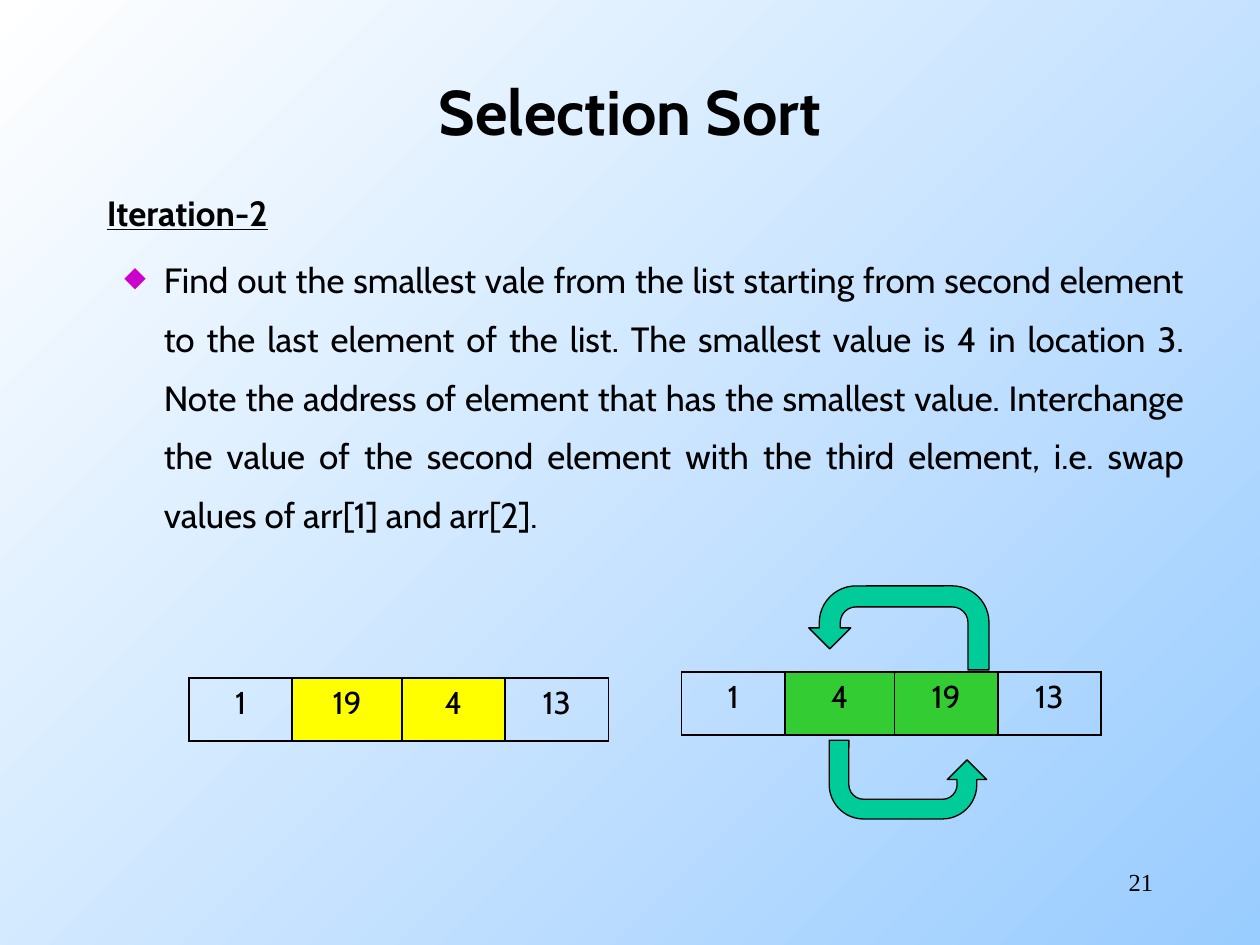
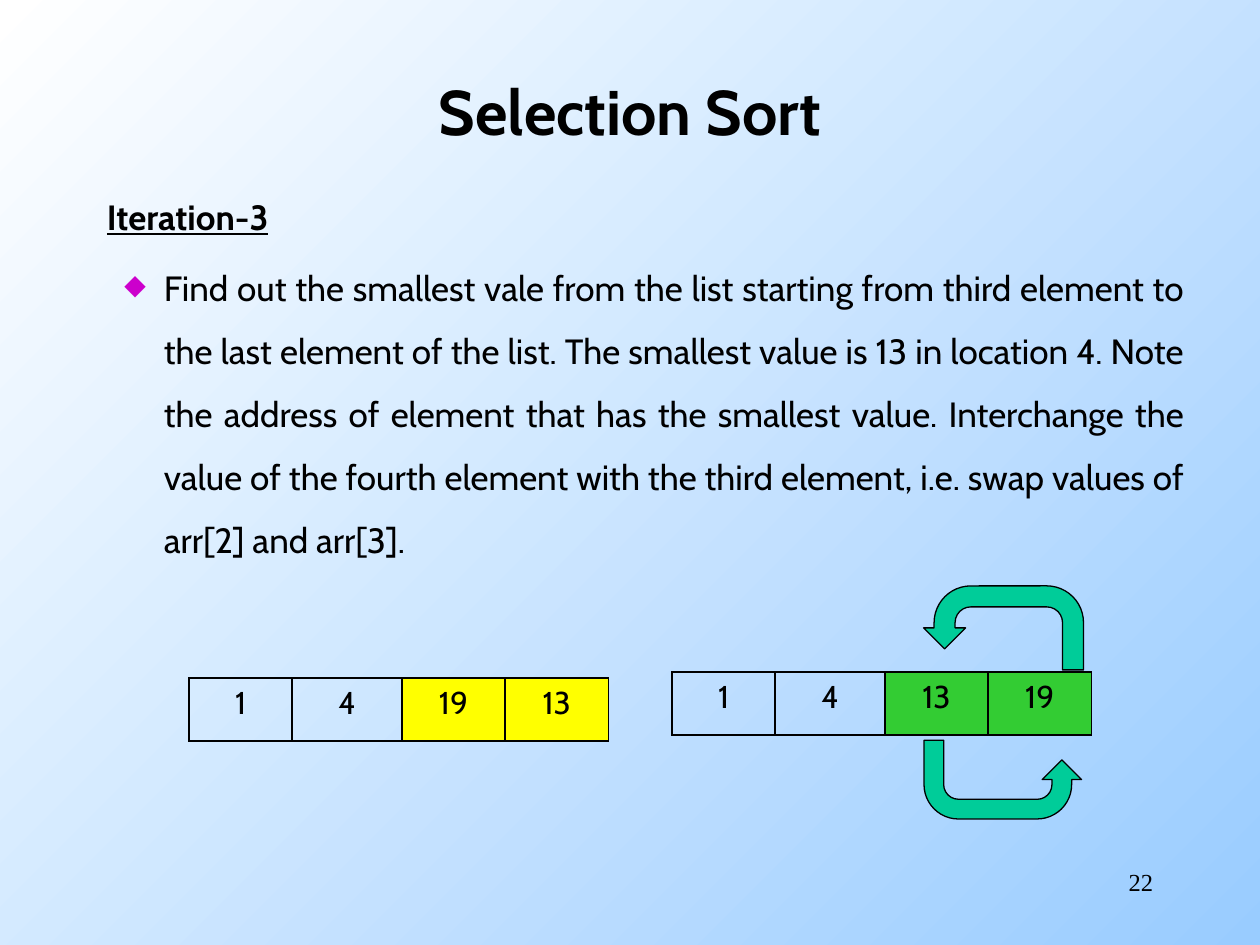
from lxml.etree import SubElement
from pptx import Presentation
from pptx.dml.color import RGBColor
from pptx.enum.shapes import MSO_SHAPE
from pptx.enum.text import MSO_ANCHOR, PP_ALIGN
from pptx.oxml.ns import qn
from pptx.util import Pt

BLACK = RGBColor(0, 0, 0)
WHITE = RGBColor(0xFF, 0xFF, 0xFF)
SKY = RGBColor(0x99, 0xCC, 0xFF)
PURPLE = RGBColor(0xCC, 0x00, 0xCC)
YELLOW = RGBColor(0xFF, 0xFF, 0x00)
GREEN = RGBColor(0x33, 0xCC, 0x33)
TEAL = RGBColor(0x00, 0xCC, 0x99)

STEPS = [
    dict(page=21, head="Iteration-2", lead=1.4, high=228,
         text="Find out the smallest vale from the list starting from second element "
              "to the last element of the list. The smallest value is 4 in location 3. "
              "Note the address of element that has the smallest value. Interchange the "
              "value of the second element with the third element, i.e. swap values of "
              "arr[1] and arr[2].",
         old=[1, 19, 4, 13], new=[1, 4, 19, 13], swap=(1, 2), left=389.5,
         over=(462.2, 103), under=(473.8, 90)),
    dict(page=22, head="Iteration-3", lead=1.5, high=342,
         text="Find out the smallest vale from the list starting from third element "
              "to the last element of the list. The smallest value is 13 in location 4. "
              "Note the address of element that has the smallest value. Interchange the "
              "value of the fourth element with the third element, i.e. swap values of "
              "arr[2] and arr[3].",
         old=[1, 4, 19, 13], new=[1, 4, 13, 19], swap=(2, 3), left=384,
         over=(527.8, 91.4), under=(528, 90)),
]


class Deck:
    """Holds the shared style and the current slide."""

    font = "Cabin"
    widths = (59.04, 62.6, 59.04, 59.04)

    def __init__(self):
        self.prs = Presentation()
        self.prs.slide_width, self.prs.slide_height = Pt(720), Pt(540)
        fill = self.prs.slide_master.background.fill
        fill.gradient()
        fill.gradient_angle = 315
        for stop, color, place in zip(fill.gradient_stops, (WHITE, SKY), (0, 1)):
            stop.color.rgb = color
            stop.position = place

    def style(self, para, size, align, font=font, bold=False, line=False):
        para.alignment = align
        for run in para.runs:
            run.font.name = font
            run.font.size = Pt(size)
            run.font.bold = bold
            run.font.underline = line
            run.font.color.rgb = BLACK

    def start(self, title):
        self.slide = self.prs.slides.add_slide(self.prs.slide_layouts[5])
        box = self.slide.shapes.title
        box.left, box.top, box.width, box.height = Pt(54), Pt(18), Pt(612), Pt(90)
        frame = box.text_frame
        frame.text = title
        frame.vertical_anchor = MSO_ANCHOR.MIDDLE
        self.style(frame.paragraphs[0], 36, PP_ALIGN.CENTER, bold=True)

    def box(self, left, top, width, height, text):
        box = self.slide.shapes.add_textbox(Pt(left), Pt(top), Pt(width), Pt(height))
        box.text_frame.word_wrap = True
        box.text_frame.text = text
        return box.text_frame

    def number(self, page):
        frame = self.box(516, 492, 150, 36, str(page))
        self.style(frame.paragraphs[0], 14, PP_ALIGN.RIGHT, "Times New Roman")

    def bullet(self, para):
        props = para._p.get_or_add_pPr()
        props.set("marL", str(Pt(32.5)))
        props.set("indent", str(Pt(-22.5)))
        color = SubElement(props, qn("a:buClr"))
        SubElement(color, qn("a:srgbClr"), val=str(PURPLE))
        SubElement(props, qn("a:buSzPct"), val="80000")
        SubElement(props, qn("a:buChar"), char="◆")

    def body(self, head, text, lead, high):
        frame = self.box(54, 96, 630, high, head)
        first, item = frame.paragraphs[0], frame.add_paragraph()
        item.text = text
        self.bullet(item)
        item.space_before = Pt(5)
        for para in (first, item):
            para.line_spacing = lead
            self.style(para, 20, PP_ALIGN.JUSTIFY, bold=para is first, line=para is first)

    def border(self, cell):
        props = cell._tc.get_or_add_tcPr()
        for spot, side in enumerate(("lnL", "lnR", "lnT", "lnB")):
            line = props.makeelement(qn("a:" + side), {"w": str(Pt(1.08))})
            solid = SubElement(line, qn("a:solidFill"))
            SubElement(solid, qn("a:srgbClr"), val=str(BLACK))
            props.insert(spot, line)

    def array(self, left, top, values, marked, color):
        table = self.slide.shapes.add_table(
            1, len(values), Pt(left), Pt(top), Pt(sum(self.widths)), Pt(36)).table
        table.first_row = table.horz_banding = False
        for col, (value, width) in enumerate(zip(values, self.widths)):
            table.columns[col].width = Pt(width)
            cell = table.cell(0, col)
            cell.text_frame.text = str(value)
            self.style(cell.text_frame.paragraphs[0], 18, PP_ALIGN.CENTER)
            if col in marked:
                cell.fill.solid()
                cell.fill.fore_color.rgb = color
            else:
                cell.fill.background()
            self.border(cell)

    def arrow(self, left, top, width, height, flip):
        shape = self.slide.shapes.add_shape(
            MSO_SHAPE.U_TURN_ARROW, Pt(left), Pt(top), Pt(width), Pt(height))
        shape._element.spPr.find(qn("a:xfrm")).set(flip, "1")
        shape.shadow.inherit = False
        shape.fill.solid()
        shape.fill.fore_color.rgb = TEAL
        shape.line.color.rgb = BLACK
        shape.line.width = Pt(0.75)


def main():
    deck = Deck()
    for step in STEPS:
        deck.start("Selection Sort")
        deck.number(step["page"])
        deck.body(step["head"], step["text"], step["lead"], step["high"])
        deck.array(step["left"], 384, step["new"], step["swap"], GREEN)
        left, width = step["over"]
        deck.arrow(left, 334.8, width, 48, "flipH")
        left, width = step["under"]
        deck.arrow(left, 423, width, 45, "flipV")
        deck.array(108, 387.5, step["old"], step["swap"], YELLOW)
    deck.prs.save("out.pptx")


if __name__ == "__main__":
    main()
